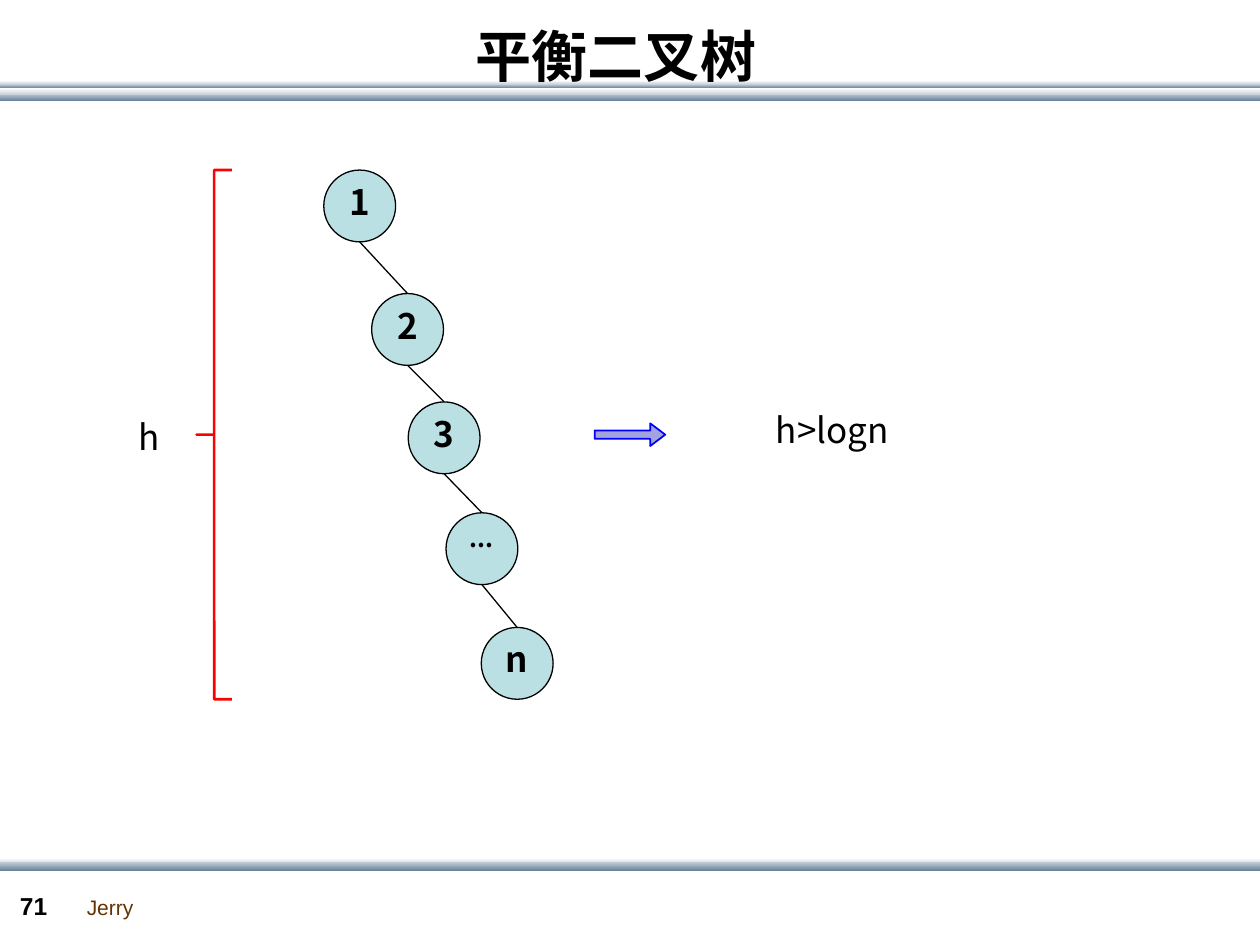
import itertools

import pptx
import pptx.dml.color
import pptx.enum.shapes
import pptx.enum.text
import pptx.oxml.ns
import pptx.util
from lxml import etree

SHAPE = pptx.enum.shapes.MSO_SHAPE
ALIGN = pptx.enum.text.PP_ALIGN
ANCHOR = pptx.enum.text.MSO_ANCHOR

# The slide is a grid of 100 columns by 75 rows of square cells
COLS, ROWS = 100, 75
CELL = pptx.util.Inches(0.1)

SANS, CJK = "Arial", "Noto Sans CJK SC"
COLORS = {
    "text": "000000", "author": "663300", "node": "BBE0E3", "brace": "FF0000",
    "arrow": "A3A3E0", "arrow_line": "0000FF",
    "white": "FFFFFF", "mist": "C8D1DA", "steel": "6A839C",
}
NODE = 5.7  # node diameter in cells


def grid(*cells):
    return [round(c * CELL) for c in cells]


def rgb(name):
    return pptx.dml.color.RGBColor.from_string(COLORS[name])


def add_run(p, text, size, font=CJK, color="text", bold=False):
    r = p.add_run()
    r.text = text
    r.font.size = pptx.util.Pt(size)
    r.font.name = font
    r.font.bold = bold
    r.font.color.rgb = rgb(color)
    ea = etree.SubElement(r.font._element, pptx.oxml.ns.qn("a:ea"))
    ea.set("typeface", font)


def add_label(s, at, text, size, wrap=True, **style):
    tf = s.shapes.add_textbox(*grid(*at)).text_frame
    tf.word_wrap = wrap
    add_run(tf.paragraphs[0], text, size, **style)


def add_figure(s, kind, at, fill=None, line=None, width=0.75, adjust=()):
    sp = s.shapes.add_shape(kind, *grid(*at))
    sp.shadow.inherit = False
    for i, value in enumerate(adjust):
        sp.adjustments[i] = value
    if fill:
        sp.fill.solid()
        sp.fill.fore_color.rgb = rgb(fill)
    else:
        sp.fill.background()
    if line:
        sp.line.color.rgb = rgb(line)
        sp.line.width = pptx.util.Pt(width)
    else:
        sp.line.fill.background()
    return sp


def add_band(s, top, height, start, end):
    sp = add_figure(s, SHAPE.RECTANGLE, (0, top, COLS, height))
    sp.fill.gradient()
    sp.fill.gradient_angle = 270
    for stop, color in zip(sp.fill.gradient_stops, (start, end)):
        stop.color.rgb = rgb(color)


def add_node(s, left, top, text, size):
    sp = add_figure(s, SHAPE.OVAL, (left, top, NODE, NODE), "node", "text")
    tf = sp.text_frame
    tf.margin_left = tf.margin_right = tf.margin_top = tf.margin_bottom = 0
    tf.vertical_anchor = ANCHOR.TOP
    tf.word_wrap = False
    p = tf.paragraphs[0]
    p.alignment = ALIGN.CENTER
    add_run(p, text, size, bold=True)


def add_edge(s, parent, child):
    x1, y1 = parent[0] + NODE / 2, parent[1] + NODE
    x2, y2 = child[0] + NODE / 2, child[1]
    line = s.shapes.add_connector(
        pptx.enum.shapes.MSO_CONNECTOR.STRAIGHT, *grid(x1, y1, x2, y2))
    line.line.color.rgb = rgb("text")
    line.line.width = pptx.util.Pt(0.75)
    etree.SubElement(line._element.spPr, pptx.oxml.ns.qn("a:effectLst"))


def set_title(s, text):
    sp = s.shapes.title
    sp.left, sp.top, sp.width, sp.height = grid(3.9, -1.9, 90, 12.5)
    tf = sp.text_frame
    tf.vertical_anchor = ANCHOR.MIDDLE
    p = tf.paragraphs[0]
    p.alignment = ALIGN.CENTER
    add_run(p, text, 32, bold=True)
    # Bring the title in front of the bands
    sp.element.getparent().append(sp.element)


def main():
    prs = pptx.Presentation()
    prs.slide_width, prs.slide_height = grid(COLS, ROWS)
    s = prs.slides.add_slide(prs.slide_layouts[5])

    # Header and footer bands
    for band in [
        (7.4, 0.6, "mist", "steel"), (6.7, 0.3, "mist", "steel"),
        (7, 0.5, "white", "mist"), (6.4, 0.3, "white", "mist"),
        (68.1, 0.5, "white", "mist"), (68.4, 0.7, "mist", "steel"),
    ]:
        add_band(s, *band)
    add_label(s, (5.9, 70.5, 5.8, 3), "Jerry", 12, wrap=False,
              font=SANS, color="author")
    add_label(s, (0.6, 70.2, 5.5, 3.3), "71", 14, font=SANS, bold=True)
    set_title(s, "平衡二叉树")

    # Degenerate tree: every node has only a right child
    nodes = [
        (25.7, 13.5, "1", 20), (29.5, 23.3, "2", 20), (32.4, 31.9, "3", 20),
        (35.4, 40.7, "...", 14), (38.2, 49.8, "n", 20),
    ]
    for node in nodes:
        add_node(s, *node)
    for parent, child in itertools.pairwise(nodes):
        add_edge(s, parent, child)

    # Height brace spanning the whole tree
    top = nodes[0][1]
    add_figure(s, SHAPE.LEFT_BRACE,
               (15.6, top, 2.8, nodes[-1][1] + NODE - top),
               line="brace", width=1.5, adjust=(0, 0.5))
    add_label(s, (10, 32.5, 3.8, 4.4), "h", 20)

    # Conclusion
    add_figure(s, SHAPE.RIGHT_ARROW, (47.2, 33.6, 5.6, 1.8), "arrow",
               "arrow_line", 1, adjust=(0.37, 0.66))
    add_label(s, (60.6, 31.9, 33.3, 4.4), "h>logn", 20)

    prs.save("out.pptx")


if __name__ == "__main__":
    main()
